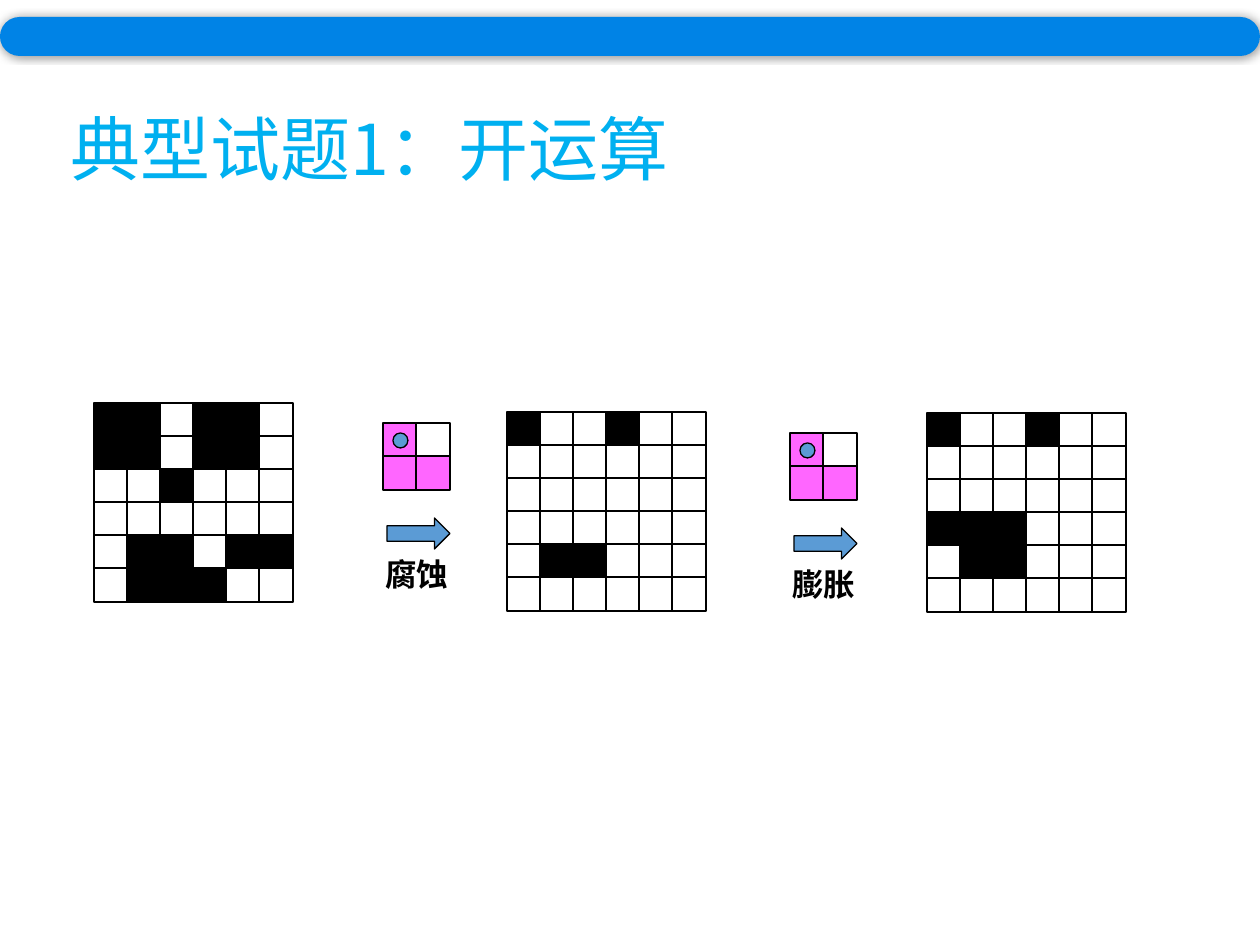
from lxml.etree import SubElement
from pptx import Presentation
from pptx.dml.color import RGBColor
from pptx.enum.shapes import MSO_SHAPE
from pptx.enum.text import MSO_ANCHOR
from pptx.oxml.ns import qn
from pptx.util import Pt

EMU_PER_PX = 914400 / 126
CELL = 34
PITCH = 33
CJK = "Noto Sans CJK SC"
COLORS = {
    "black": "000000",
    "white": "FFFFFF",
    "pink": "FF66FF",
    "blue": "5B9BD5",
    "title": "00B0F0",
    "bar": "0083E6",
}
IMAGES = [
    (94, 403, ["##.##.", "##.##.", "..#...", "......", ".##.##", ".###.."]),
    (507, 412, ["#..#..", "......", "......", "......", ".##...", "......"]),
    (927, 413, ["#..#..", "......", "......", "###...", ".##...", "......"]),
]
STEPS = [(383, 423, "腐蚀"), (790, 433, "膨胀")]


def px(n):
    return round(n * EMU_PER_PX)


def rgb(name):
    return RGBColor.from_string(COLORS[name])


def add_shape(shapes, kind, x, y, w, h, fill, line="black"):
    sp = shapes.add_shape(kind, px(x), px(y), px(w), px(h))
    sp.shadow.inherit = False
    sp.fill.solid()
    sp.fill.fore_color.rgb = rgb(fill)
    if line:
        sp.line.color.rgb = rgb(line)
        sp.line.width = Pt(0.75)
    else:
        sp.line.fill.background()
    return sp


def add_text(shapes, text, x, y, w, h, size, color, font=CJK, bold=False,
             anchor=MSO_ANCHOR.TOP, spacing=1.0):
    tf = shapes.add_textbox(px(x), px(y), px(w), px(h)).text_frame
    tf.word_wrap = True
    tf.vertical_anchor = anchor
    p = tf.paragraphs[0]
    p.line_spacing = spacing
    r = p.add_run()
    r.text = text
    r.font.size = Pt(size)
    r.font.bold = bold
    r.font.color.rgb = rgb(color)
    r.font.name = font
    SubElement(r.font._element, qn("a:ea"), typeface=CJK)


def add_cells(shapes, x, y, rows, ink, pitch):
    for i, row in enumerate(rows):
        for j, mark in enumerate(row):
            add_shape(shapes, MSO_SHAPE.RECTANGLE, x + j * pitch, y + i * pitch,
                      CELL, CELL, ink if mark == "#" else "white")


def add_step(slide, x, y, label):
    shapes = slide.shapes.add_group_shape().shapes
    add_shape(shapes, MSO_SHAPE.RIGHT_ARROW, x + 4, y + 95, 63, 31, "blue")
    add_cells(shapes, x, y, ["#.", "##"], "pink", CELL - 1)
    add_shape(shapes, MSO_SHAPE.OVAL, x + 10, y + 10, 15, 15, "blue")
    add_text(shapes, label, x - 10, y + 126, 105, 50, 18, "black",
             font="Times New Roman", bold=True)


def add_bar(slide):
    bar = add_shape(slide.shapes, MSO_SHAPE.ROUNDED_RECTANGLE,
                    0, 17, 1260, 39, "bar", line=None)
    bar.adjustments[0] = 0.5
    effects = bar._element.spPr.find(qn("a:effectLst"))
    shadow = SubElement(effects, qn("a:outerShdw"), blurRad=str(Pt(5)), dist="0", dir="0")
    color = SubElement(shadow, qn("a:srgbClr"), val=COLORS["black"])
    SubElement(color, qn("a:alpha"), val="40000")


def main():
    prs = Presentation()
    prs.slide_width, prs.slide_height = px(1260), px(945)
    slide = prs.slides.add_slide(prs.slide_layouts[6])
    add_text(slide.shapes, "典型试题1：开运算", 58, 93, 833, 120, 40, "title",
             anchor=MSO_ANCHOR.MIDDLE, spacing=0.9)
    for x, y, label in STEPS:
        add_step(slide, x, y, label)
    for x, y, rows in IMAGES:
        add_cells(slide.shapes.add_group_shape().shapes, x, y, rows, "black", PITCH)
    add_bar(slide)
    prs.save("out.pptx")


if __name__ == "__main__":
    main()
